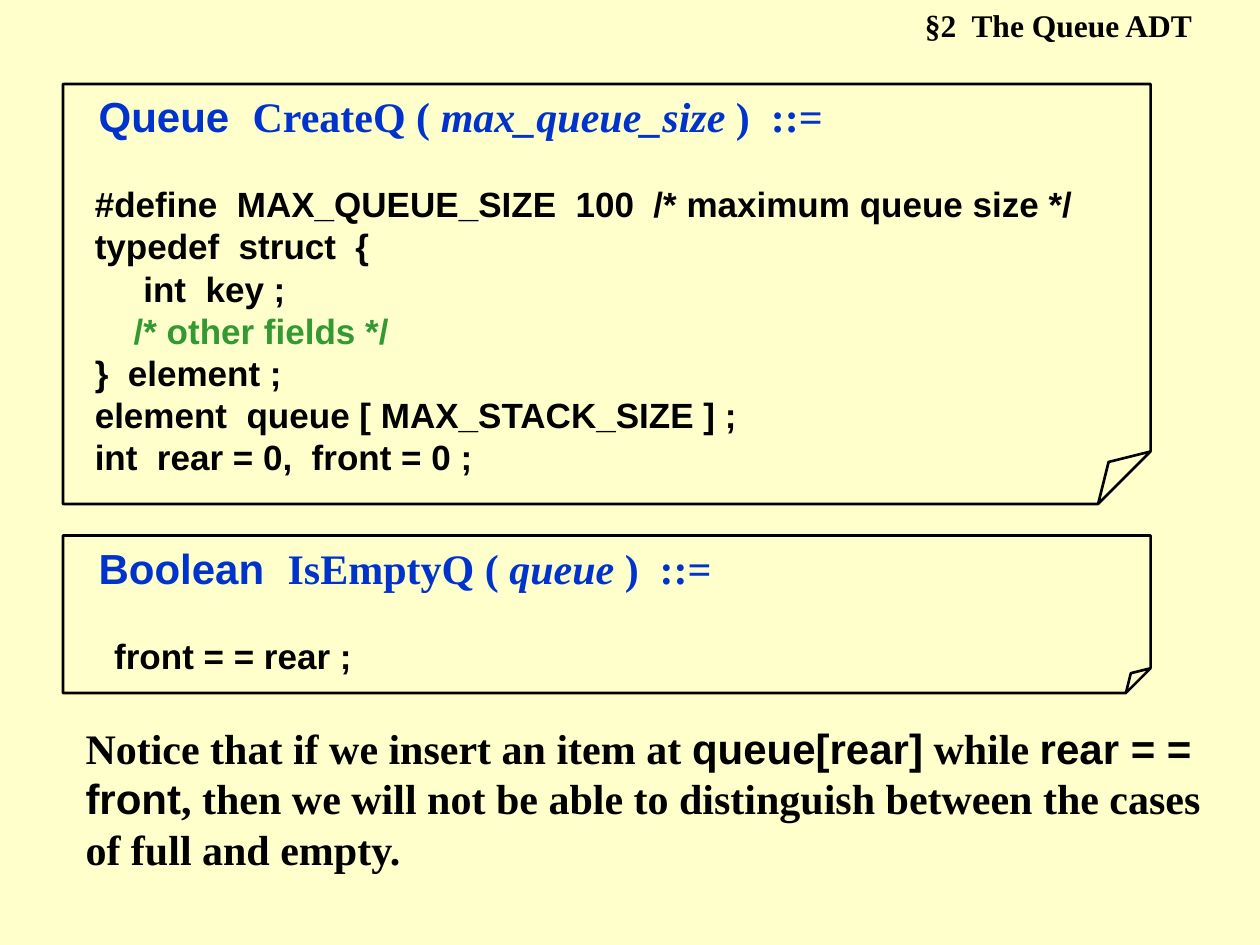
from dataclasses import dataclass, field

from pptx import Presentation
from pptx.dml.color import RGBColor
from pptx.enum.shapes import MSO_SHAPE
from pptx.enum.text import MSO_ANCHOR, MSO_AUTO_SIZE, PP_ALIGN
from pptx.util import Pt

SERIF, SANS = "Times New Roman", "Arial"
BLACK, BLUE, GREEN, CREAM = "000000", "0033CC", "339933", "FFFFCC"


@dataclass
class Run:
    text: str
    font: str = SANS
    color: str = BLACK
    italic: bool = False


@dataclass
class Para:
    runs: list[Run]
    size: float = 20
    pitch: float = 24
    indent: float = 0
    before: float = 0


@dataclass
class Card:
    top: float
    height: float
    text_height: float
    fold: int  # thousandths of a percent of the shorter side
    heading: list[Run]
    code: list[Run] = field(default_factory=list)
    code_indent: float = 11.1


def rgb(value: str) -> RGBColor:
    return RGBColor.from_string(value)


def write(tf, paras: list[Para], anchor=MSO_ANCHOR.TOP) -> None:
    """Fill a text frame with formatted paragraphs."""
    frame = {"word_wrap": True, "auto_size": MSO_AUTO_SIZE.NONE,
             "vertical_anchor": anchor,
             "margin_left": Pt(7.2), "margin_right": Pt(7.2),
             "margin_top": Pt(3.6), "margin_bottom": Pt(3.6)}
    for name, value in frame.items():
        setattr(tf, name, value)
    for i, para in enumerate(paras):
        p = tf.add_paragraph() if i else tf.paragraphs[0]
        layout = {"alignment": PP_ALIGN.LEFT, "line_spacing": Pt(para.pitch),
                  "space_before": Pt(para.before)}
        for name, value in layout.items():
            setattr(p, name, value)
        pPr = p._p.get_or_add_pPr()
        pPr.set("marL", str(int(Pt(para.indent))))
        pPr.set("indent", "0")
        for run in para.runs:
            r = p.add_run()
            r.text = run.text
            style = {"name": run.font, "size": Pt(para.size),
                     "bold": True, "italic": run.italic}
            for name, value in style.items():
                setattr(r.font, name, value)
            r.font.color.rgb = rgb(run.color)


def draw_card(s, card: Card) -> None:
    """Group an operation's text with its folded-corner outline."""
    group = s.shapes.add_group_shape()
    box = group.shapes.add_textbox(Pt(36), Pt(card.top), Pt(642), Pt(card.text_height))
    paras = [Para(card.heading, 24, 29, indent=13.3)]
    paras += [Para([run], indent=card.code_indent, before=0 if i else 24)
              for i, run in enumerate(card.code)]
    write(box.text_frame, paras)

    sp = group.shapes.add_shape(MSO_SHAPE.FOLDED_CORNER, Pt(36), Pt(card.top),
                                Pt(621.5), Pt(card.height))
    # python-pptx lists no adjustment for this preset, so set its guide directly
    sp._element.prstGeom.rewrite_guides([("adj", card.fold)])
    sp.shadow.inherit = False
    sp.fill.background()
    sp.line.color.rgb = rgb(BLACK)
    sp.line.width = Pt(1.5)


def heading(kind: str, name: str, argument: str) -> list[Run]:
    return [Run(f"{kind}  ", SANS, BLUE), Run(f"{name} ( ", SERIF, BLUE),
            Run(argument, SERIF, BLUE, italic=True), Run(" )  ::=", SERIF, BLUE)]


CARDS = [
    Card(48, 240, 228, 12500, heading("Queue", "CreateQ", "max_queue_size"), [
        Run("#define  MAX_QUEUE_SIZE  100  /* maximum queue size */"),
        Run("typedef  struct  {"),
        Run("     int  key ;"),
        Run("    /* other fields */", color=GREEN),
        Run("}  element ;"),
        Run("element  queue [ MAX_STACK_SIZE ] ;"),
        Run("int  rear = 0,  front = 0 ;"),
    ]),
    Card(306, 90, 84, 15700, heading("Boolean", "IsEmptyQ", "queue"),
         [Run("front = = rear ;")], code_indent=22.2),
]

NOTICE = [
    Run("Notice that if we insert an item at ", SERIF),
    Run("queue[rear]"),
    Run(" while ", SERIF),
    Run("rear = = front"),
    Run(", then we will not be able to distinguish between the cases "
        "of full and empty.", SERIF),
]


def main() -> None:
    prs = Presentation()
    prs.slide_width, prs.slide_height = Pt(720), Pt(540)
    s = prs.slides.add_slide(prs.slide_layouts[5])
    s.background.fill.solid()
    s.background.fill.fore_color.rgb = rgb(CREAM)

    # Section title
    title = s.shapes.title
    place = {"left": 521.3, "top": 0, "width": 198, "height": 29}
    for name, value in place.items():
        setattr(title, name, Pt(value))
    write(title.text_frame, [Para([Run("§2  The Queue ADT", SERIF)], 18, 21)],
          MSO_ANCHOR.MIDDLE)

    # Queue operations
    for card in CARDS:
        draw_card(s, card)

    # Closing remark
    box = s.shapes.add_textbox(Pt(41.8), Pt(409), Pt(654), Pt(94))
    write(box.text_frame, [Para(NOTICE, 24, 29)], MSO_ANCHOR.MIDDLE)

    prs.save("out.pptx")


if __name__ == "__main__":
    main()
